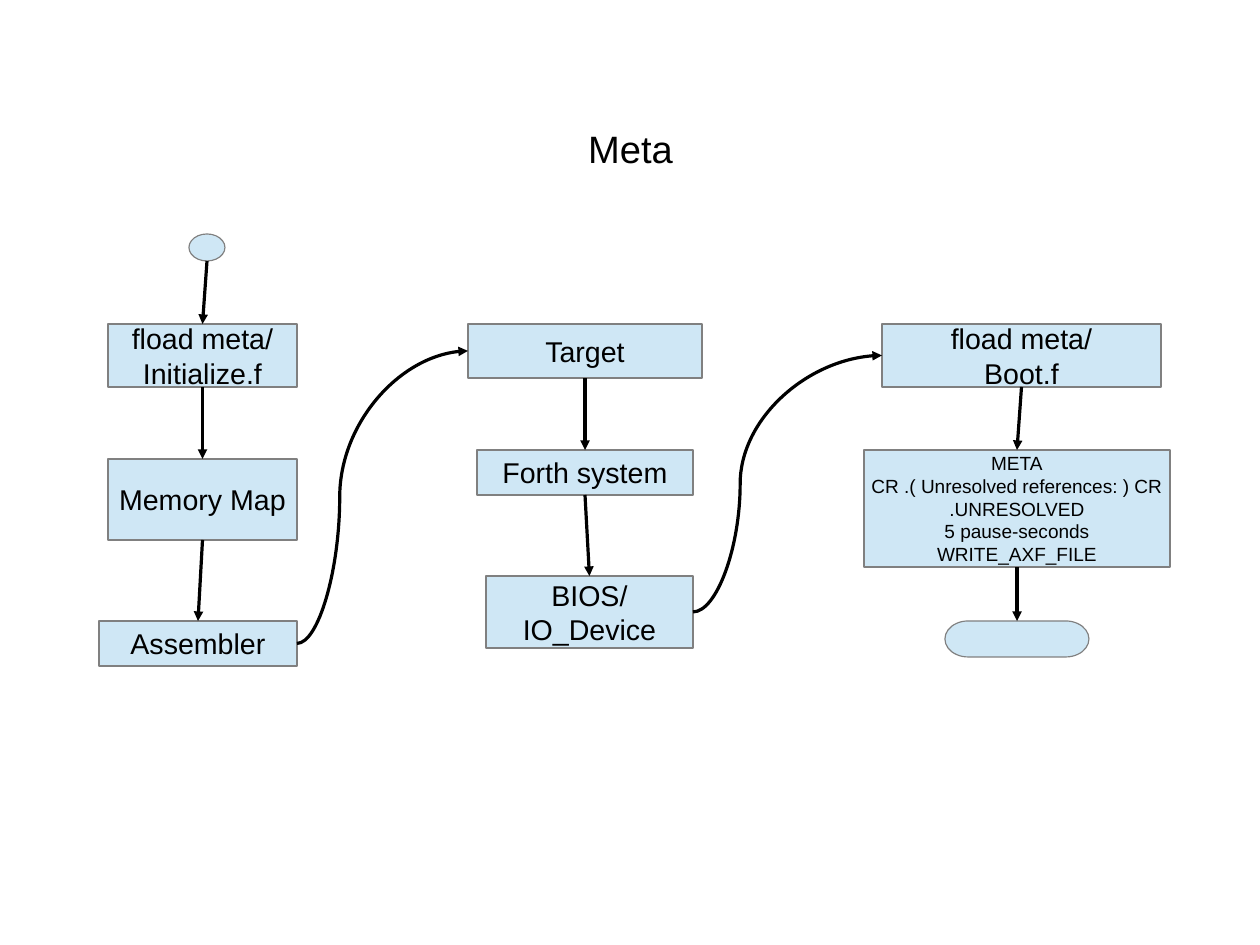
"""Flow chart of the Meta build steps in three columns."""
from dataclasses import dataclass
from itertools import pairwise

from lxml import etree
from pptx import Presentation
from pptx.dml.color import RGBColor
from pptx.enum import shapes, text
from pptx.oxml import ns
from pptx.util import Cm, Pt


@dataclass(frozen=True)
class Theme:
    """Colours, font and type sizes of the slide."""
    fill: RGBColor = RGBColor(0xCF, 0xE7, 0xF5)
    outline: RGBColor = RGBColor(0x80, 0x80, 0x80)
    ink: RGBColor = RGBColor(0, 0, 0)
    font: str = "Arial"
    title: int = 24
    step: int = 18
    code: int = 12


THEME = Theme()
KIND = shapes.MSO_SHAPE
START, STEP, END = KIND.FLOWCHART_CONNECTOR, KIND.FLOWCHART_PROCESS, KIND.FLOWCHART_TERMINATOR
TOP, BOTTOM = 0, 2

COLUMNS = [
    [
        (START, (4.2, 5.2, 0.8, 0.6), [], THEME.step),
        (STEP, (2.4, 7.2, 4.2, 1.4), ["fload meta/", "Initialize.f"], THEME.step),
        (STEP, (2.4, 10.2, 4.2, 1.8), ["Memory Map"], THEME.step),
        (STEP, (2.2, 13.8, 4.4, 1), ["Assembler"], THEME.step),
    ],
    [
        (STEP, (10.4, 7.2, 5.2, 1.2), ["Target"], THEME.step),
        (STEP, (10.6, 10, 4.8, 1), ["Forth system"], THEME.step),
        (STEP, (10.8, 12.8, 4.6, 1.6), ["BIOS/", "IO_Device"], THEME.step),
    ],
    [
        (STEP, (19.6, 7.2, 6.2, 1.4), ["fload meta/", "Boot.f"], THEME.step),
        (STEP, (19.2, 10, 6.8, 2.6),
         ["META", "CR .( Unresolved references: ) CR", ".UNRESOLVED",
          "5 pause-seconds", "WRITE_AXF_FILE"], THEME.code),
        (END, (21, 13.8, 3.2, 0.8), [], THEME.step),
    ],
]


def write_lines(tf, lines, size):
    """Fill a text frame with centred lines."""
    tf.vertical_anchor = text.MSO_ANCHOR.MIDDLE
    for i, line in enumerate(lines):
        p = tf.add_paragraph() if i else tf.paragraphs[0]
        p.alignment = text.PP_ALIGN.CENTER
        r = p.add_run()
        r.text = line
        r.font.name = THEME.font
        r.font.size = Pt(size)
        r.font.color.rgb = THEME.ink


def add_title(s, title):
    """Place and format the slide title."""
    sp = s.shapes.title
    sp.left, sp.top, sp.width, sp.height = Cm(2.06), Cm(1.55), Cm(23.9), Cm(3.5)
    tf = sp.text_frame
    tf.auto_size = text.MSO_AUTO_SIZE.NONE
    tf.margin_left = tf.margin_right = tf.margin_top = tf.margin_bottom = 0
    write_lines(tf, [title], THEME.title)


def add_node(s, kind, box, lines, size):
    """Add one flow chart symbol with its text."""
    sp = s.shapes.add_shape(kind, *map(Cm, box))
    sp.shadow.inherit = False
    sp.fill.solid()
    sp.fill.fore_color.rgb = THEME.fill
    sp.line.color.rgb = THEME.outline
    sp.line.width = 0
    sp.text_frame.word_wrap = False
    write_lines(sp.text_frame, lines, size)
    return sp


def add_arrow(s, kind, begin, end):
    """Add a hairline connector with an arrowhead at its end."""
    c = s.shapes.add_connector(kind, *begin, *end)
    c.line.color.rgb = THEME.ink
    c.line.width = 0
    etree.SubElement(c.line._get_or_add_ln(), ns.qn("a:tailEnd"), type="triangle")
    etree.SubElement(c._element.spPr, ns.qn("a:effectLst"))
    return c


def link_down(s, upper, lower):
    """Join the bottom of one symbol to the top of the next."""
    c = add_arrow(s, shapes.MSO_CONNECTOR.STRAIGHT,
                  (upper.left + upper.width // 2, upper.top + upper.height),
                  (lower.left + lower.width // 2, lower.top))
    if upper.auto_shape_type == STEP:
        c.begin_connect(upper, BOTTOM)
    c.end_connect(lower, TOP)


def link_across(s, last, first):
    """Curve from the end of one column to the head of the next."""
    c = add_arrow(s, shapes.MSO_CONNECTOR.CURVE,
                  (last.left + last.width, last.top + last.height // 2),
                  (first.left, first.top + first.height // 2))
    guides = c._element.spPr.find(ns.qn("a:prstGeom")).get_or_add_avLst()
    etree.SubElement(guides, ns.qn("a:gd"), name="adj1", fmla="val 25000")


def main():
    """Build and save the slide."""
    prs = Presentation()
    prs.slide_width, prs.slide_height = Cm(28), Cm(21)
    s = prs.slides.add_slide(prs.slide_layouts.get_by_name("Title Only"))
    add_title(s, "Meta")
    columns = [[add_node(s, *node) for node in column] for column in COLUMNS]
    for column in columns:
        for upper, lower in pairwise(column):
            link_down(s, upper, lower)
    for left, right in pairwise(columns):
        link_across(s, left[-1], right[0])
    prs.save("out.pptx")


if __name__ == "__main__":
    main()
